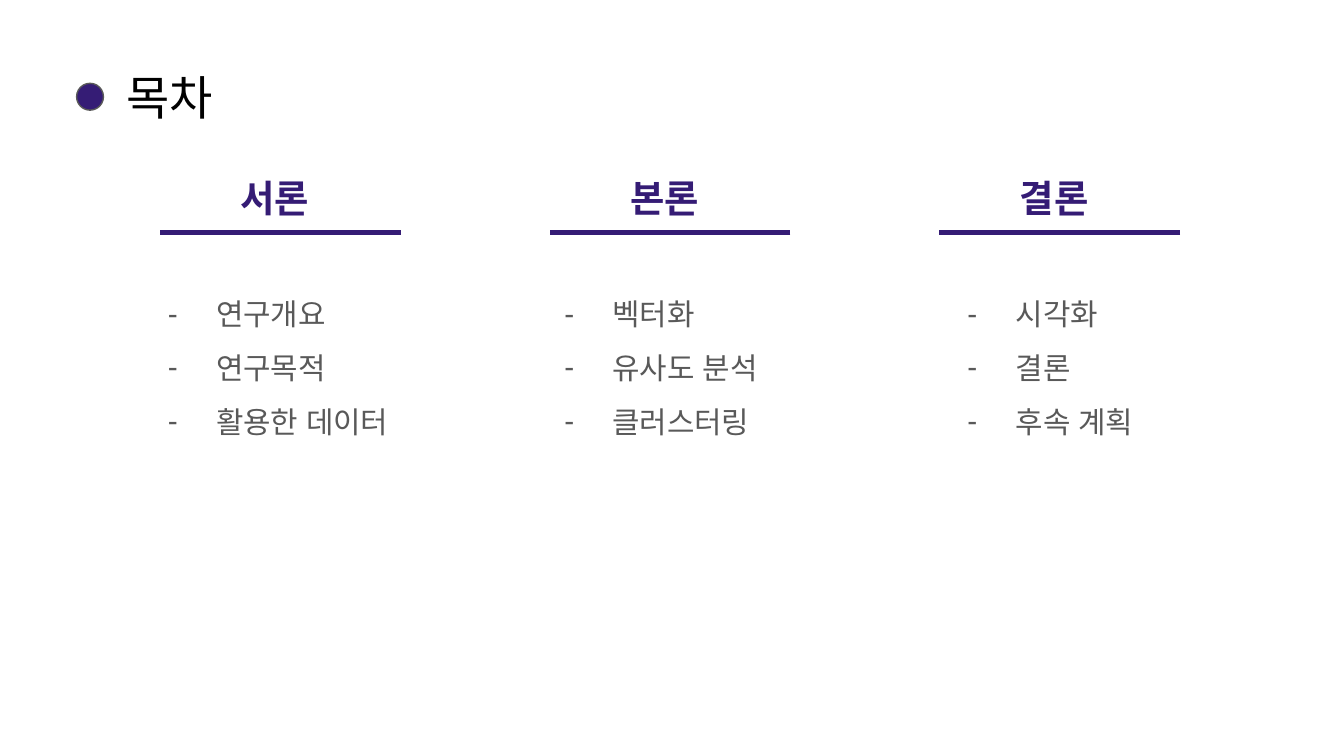
from lxml import etree
from pptx import Presentation
from pptx.dml.color import RGBColor
from pptx.enum import shapes, text
from pptx.oxml.ns import qn
from pptx.util import Inches, Pt

TITLE = "목차"
SECTIONS = [
    ("서론", 1.01, ["연구개요", "연구목적", "활용한 데이터"]),
    ("본론", 3.96, ["벡터화", "유사도 분석", "클러스터링"]),
    ("결론", 6.96, ["시각화", "결론", "후속 계획"]),
]
COLORS = {"title": "000000", "accent": "351C75", "body": "595959"}
FONT = "Arial"
LEFT, STEP, RULE_WIDTH, RULE_Y = 1.19, 2.9, 1.79, 1.73


def rgb(name):
    return RGBColor.from_string(COLORS[name])


def setup_frame(sp):
    tf = sp.text_frame
    tf.word_wrap = True
    tf.auto_size = text.MSO_AUTO_SIZE.NONE
    tf.vertical_anchor = text.MSO_ANCHOR.TOP
    tf.margin_left = tf.margin_right = Inches(0.1)
    tf.margin_top = tf.margin_bottom = Inches(0.1)
    return tf


def add_textbox(s, left, top, width, height):
    return setup_frame(s.shapes.add_textbox(
        Inches(left), Inches(top), Inches(width), Inches(height)))


def write(p, words, size, color, spacing=1.0, bold=False, bullet=None):
    p.alignment = text.PP_ALIGN.LEFT
    p.line_spacing = spacing
    pPr = p._p.get_or_add_pPr()
    pPr.set("marL", str(Inches(0.5)))
    pPr.set("indent", str(Inches(-0.36 if bullet else 0)))
    if bullet:
        bu_color = etree.SubElement(pPr, qn("a:buClr"))
        etree.SubElement(bu_color, qn("a:srgbClr"), val=COLORS[color])
        etree.SubElement(pPr, qn("a:buFont"), typeface=FONT)
        etree.SubElement(pPr, qn("a:buChar"), char=bullet)
    r = p.add_run()
    r.text = words
    r.font.size = Pt(size)
    r.font.bold = bold
    r.font.color.rgb = rgb(color)
    r.font.name = FONT
    for tag in ("a:ea", "a:cs"):
        etree.SubElement(r._r.get_or_add_rPr(), qn(tag), typeface=FONT)


def add_rule(s, left):
    line = s.shapes.add_connector(
        shapes.MSO_CONNECTOR.STRAIGHT, Inches(left + RULE_WIDTH),
        Inches(RULE_Y), Inches(left), Inches(RULE_Y))
    line.line.color.rgb = rgb("accent")
    line.line.width = Pt(3)
    etree.SubElement(line._element.spPr, qn("a:effectLst"))


prs = Presentation()
prs.slide_width = Inches(10)
prs.slide_height = prs.slide_width * 9 // 16
s = prs.slides.add_slide(prs.slide_layouts[5])

title = s.shapes.title
title.left, title.top = Inches(0.34), Inches(0.41)
title.width, title.height = Inches(9.32), Inches(0.63)
write(setup_frame(title).paragraphs[0], TITLE, 25.2, "title")

dot = s.shapes.add_shape(shapes.MSO_SHAPE.OVAL, Inches(0.57), Inches(0.62),
                         Inches(0.2), Inches(0.2))
dot.shadow.inherit = False
dot.fill.solid()
dot.fill.fore_color.rgb = rgb("accent")
dot.line.color.rgb = rgb("body")
dot.line.width = Pt(0.75)

for i, (heading, list_left, items) in enumerate(SECTIONS):
    left = LEFT + i * STEP
    tf = add_textbox(s, left, 1.15, 1.36, 0.5)
    write(tf.paragraphs[0], heading, 20, "accent", 1.15, bold=True)
    add_rule(s, left)
    tf = add_textbox(s, list_left, 1.97, 3.28, 1.28)
    for j, item in enumerate(items):
        p = tf.add_paragraph() if j else tf.paragraphs[0]
        write(p, item, 16, "body", 1.5, bullet="-")

prs.save("out.pptx")
